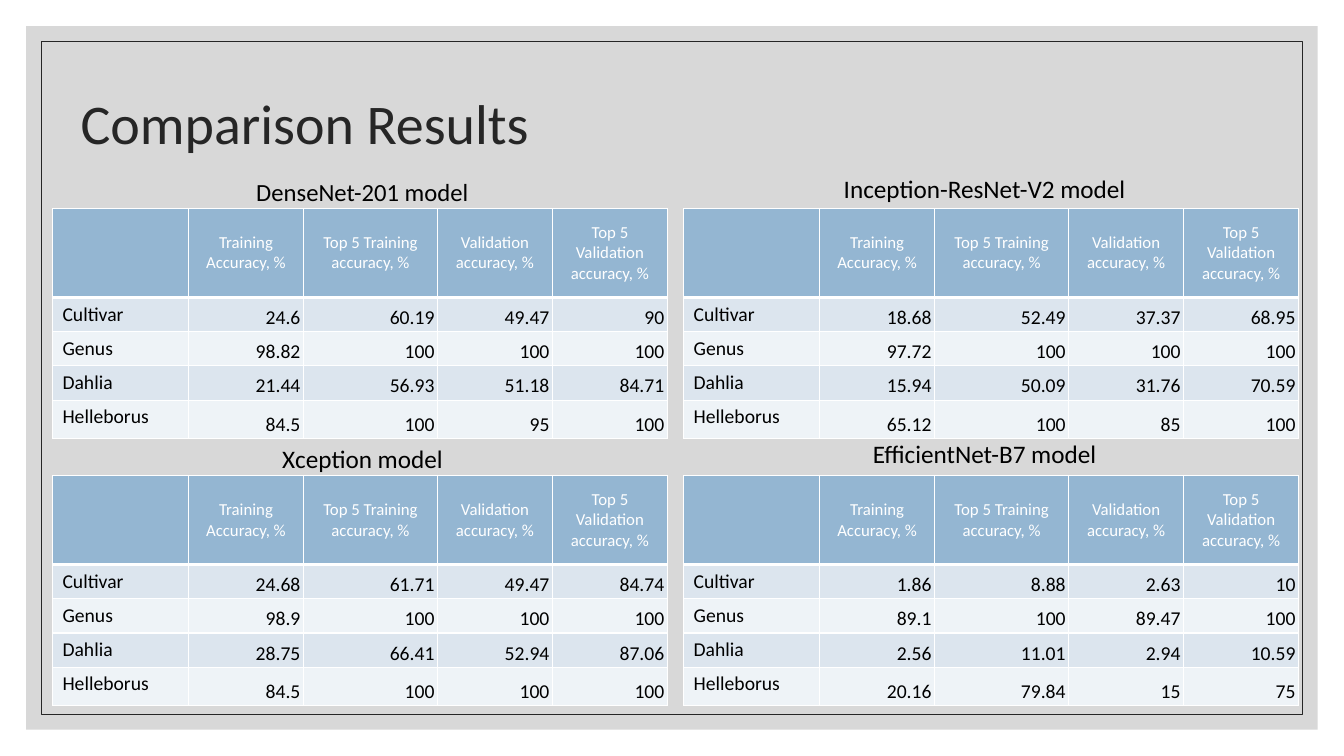
import dataclasses

import lxml.etree
import pptx
import pptx.dml.color
import pptx.enum.shapes
import pptx.enum.text
import pptx.oxml.ns
import pptx.util

ALIGN = pptx.enum.text.PP_ALIGN
ANCHOR = pptx.enum.text.MSO_ANCHOR
qn = pptx.oxml.ns.qn


@dataclasses.dataclass(frozen=True)
class Theme:
    font: str = "Calibri"
    panel: str = "BFBFBF"
    title: str = "262626"
    text: str = "000000"
    white: str = "FFFFFF"
    header: str = "94B6D2"
    bands: tuple = ("DCE5EE", "EEF3F7")
    title_size: float = 40
    lead_size: float = 17.6
    caption_size: float = 18
    header_size: float = 12
    cell_size: float = 14


THEME = Theme()
WIDTH, HEIGHT = 13.33, 7.5
GRID_COLUMNS = (0.52, 6.78)
GRID_ROWS = (2.07, 4.72)
CAPTION_HEIGHT = 0.4
COLUMN_WIDTHS = (1.35, 1.14, 1.33, 1.14, 1.14)
ROW_HEIGHTS = (0.88, 0.34, 0.34, 0.34, 0.38)
HEADINGS = (
    "",
    "Training Accuracy, %",
    "Top 5 Training accuracy, %",
    "Validation accuracy, %",
    "Top 5 Validation accuracy, %",
)
CLASSES = ("Cultivar", "Genus", "Dahlia", "Helleborus")
DENSENET = (
    ("24.6", "60.19", "49.47", "90"),
    ("98.82", "100", "100", "100"),
    ("21.44", "56.93", "51.18", "84.71"),
    ("84.5", "100", "95", "100"),
)
XCEPTION = (
    ("24.68", "61.71", "49.47", "84.74"),
    ("98.9", "100", "100", "100"),
    ("28.75", "66.41", "52.94", "87.06"),
    ("84.5", "100", "100", "100"),
)
INCEPTION = (
    ("18.68", "52.49", "37.37", "68.95"),
    ("97.72", "100", "100", "100"),
    ("15.94", "50.09", "31.76", "70.59"),
    ("65.12", "100", "85", "100"),
)
EFFICIENTNET = (
    ("1.86", "8.88", "2.63", "10"),
    ("89.1", "100", "89.47", "100"),
    ("2.56", "11.01", "2.94", "10.59"),
    ("20.16", "79.84", "15", "75"),
)


def inches(*lengths):
    return [pptx.util.Inches(length) for length in lengths]


def rgb(value):
    return pptx.dml.color.RGBColor.from_string(value)


def write(frame, text, size, color, align):
    para = frame.paragraphs[0]
    para.alignment = align
    para.space_before = pptx.util.Pt(0)
    span = para.add_run()
    span.text = text
    span.font.name = THEME.font
    span.font.size = pptx.util.Pt(size)
    span.font.bold = False
    span.font.color.rgb = rgb(color)
    return para


def place(shape, left, top, width, height):
    shape.left, shape.top, shape.width, shape.height = inches(left, top, width, height)


def add_backdrop(page, margin, layer):
    box = page.shapes.add_shape(
        pptx.enum.shapes.MSO_SHAPE.RECTANGLE,
        *inches(margin, margin, WIDTH - 2 * margin, HEIGHT - 2 * margin),
    )
    box.shadow.inherit = False
    page.shapes._spTree.insert(2 + layer, box._element)
    return box


def add_panel(page):
    panel = add_backdrop(page, 0.26, 0)
    panel.fill.solid()
    panel.fill.fore_color.rgb = rgb(THEME.panel)
    panel.line.fill.background()
    color = panel._element.spPr.find(".//" + qn("a:srgbClr"))
    lxml.etree.SubElement(color, qn("a:alpha"), val="60000")


def add_frame(page):
    frame = add_backdrop(page, 0.41, 1)
    frame.fill.background()
    frame.line.color.rgb = rgb(THEME.title)
    frame.line.width = pptx.util.Pt(0.5)


def fill_title(page, text):
    title = page.shapes.title
    place(title, 0.7, 0.5, 11, 1.5)
    title.text_frame.vertical_anchor = ANCHOR.MIDDLE
    para = write(title.text_frame, text, THEME.title_size, THEME.title, ALIGN.LEFT)
    para.line_spacing = 0.9


def fill_lead_caption(page, text):
    body = page.placeholders[1]
    place(body, GRID_COLUMNS[0], 1.7, 6.15, CAPTION_HEIGHT)
    body.text_frame.vertical_anchor = ANCHOR.MIDDLE
    write(body.text_frame, text, THEME.lead_size, THEME.text, ALIGN.CENTER)


def add_caption(page, text, left, top, width):
    box = page.shapes.add_textbox(*inches(left, top, width, CAPTION_HEIGHT))
    box.text_frame.word_wrap = True
    box.text_frame.auto_size = pptx.enum.text.MSO_AUTO_SIZE.SHAPE_TO_FIT_TEXT
    write(box.text_frame, text, THEME.caption_size, THEME.text, ALIGN.CENTER)


def set_borders(cell, top, bottom):
    widths = {"a:lnL": 1, "a:lnR": 1, "a:lnT": top, "a:lnB": bottom}
    properties = cell._tc.get_or_add_tcPr()
    for index, (side, points) in enumerate(widths.items()):
        line = lxml.etree.Element(qn(side), w=str(pptx.util.Pt(points)))
        fill = lxml.etree.SubElement(line, qn("a:solidFill"))
        lxml.etree.SubElement(fill, qn("a:srgbClr"), val=THEME.white)
        properties.insert(index, line)


def format_cell(cell, text, row, column):
    cell.fill.solid()
    if row == 0:
        cell.fill.fore_color.rgb = rgb(THEME.header)
        cell.vertical_anchor = ANCHOR.MIDDLE
        size, color, align = THEME.header_size, THEME.white, ALIGN.CENTER
    else:
        cell.fill.fore_color.rgb = rgb(THEME.bands[(row - 1) % 2])
        size, color, align = THEME.cell_size, THEME.text, ALIGN.LEFT
        if column > 0:
            align = ALIGN.RIGHT
            cell.vertical_anchor = ANCHOR.BOTTOM
            cell.margin_left, cell.margin_right = inches(0.03, 0.03)
            cell.margin_top, cell.margin_bottom = inches(0.02, 0.02)
    if text:
        write(cell.text_frame, text, size, color, align)
    set_borders(cell, 3 if row == 1 else 1, 3 if row == 0 else 1)


def add_results(page, results, left, top):
    rows = [HEADINGS] + [(name, *values) for name, values in zip(CLASSES, results)]
    table = page.shapes.add_table(
        len(rows), len(HEADINGS),
        *inches(left, top, sum(COLUMN_WIDTHS), sum(ROW_HEIGHTS)),
    ).table
    table.first_row = False
    table.horz_banding = False
    for column, width in zip(table.columns, COLUMN_WIDTHS):
        column.width = pptx.util.Inches(width)
    for row, height in zip(table.rows, ROW_HEIGHTS):
        row.height = pptx.util.Inches(height)
    for row, texts in enumerate(rows):
        for column, text in enumerate(texts):
            format_cell(table.cell(row, column), text, row, column)


def main():
    deck = pptx.Presentation()
    deck.slide_width, deck.slide_height = inches(WIDTH, HEIGHT)
    page = deck.slides.add_slide(deck.slide_layouts.get_by_name("Comparison"))
    for holder in list(page.placeholders):
        if holder.placeholder_format.idx > 1:
            holder._element.getparent().remove(holder._element)
    add_panel(page)
    add_frame(page)
    fill_title(page, "Comparison Results")
    fill_lead_caption(page, "DenseNet-201 model")
    add_caption(page, "Xception model", GRID_COLUMNS[0], 4.35, 6.15)
    add_caption(page, "Inception-ResNet-V2 model", 6.72, 1.67, 6.09)
    add_caption(page, "EfficientNet-B7 model", 6.72, 4.3, 6.09)
    for top, models in zip(GRID_ROWS, ((DENSENET, INCEPTION), (XCEPTION, EFFICIENTNET))):
        for left, results in zip(GRID_COLUMNS, models):
            add_results(page, results, left, top)
    deck.save("out.pptx")


if __name__ == "__main__":
    main()
